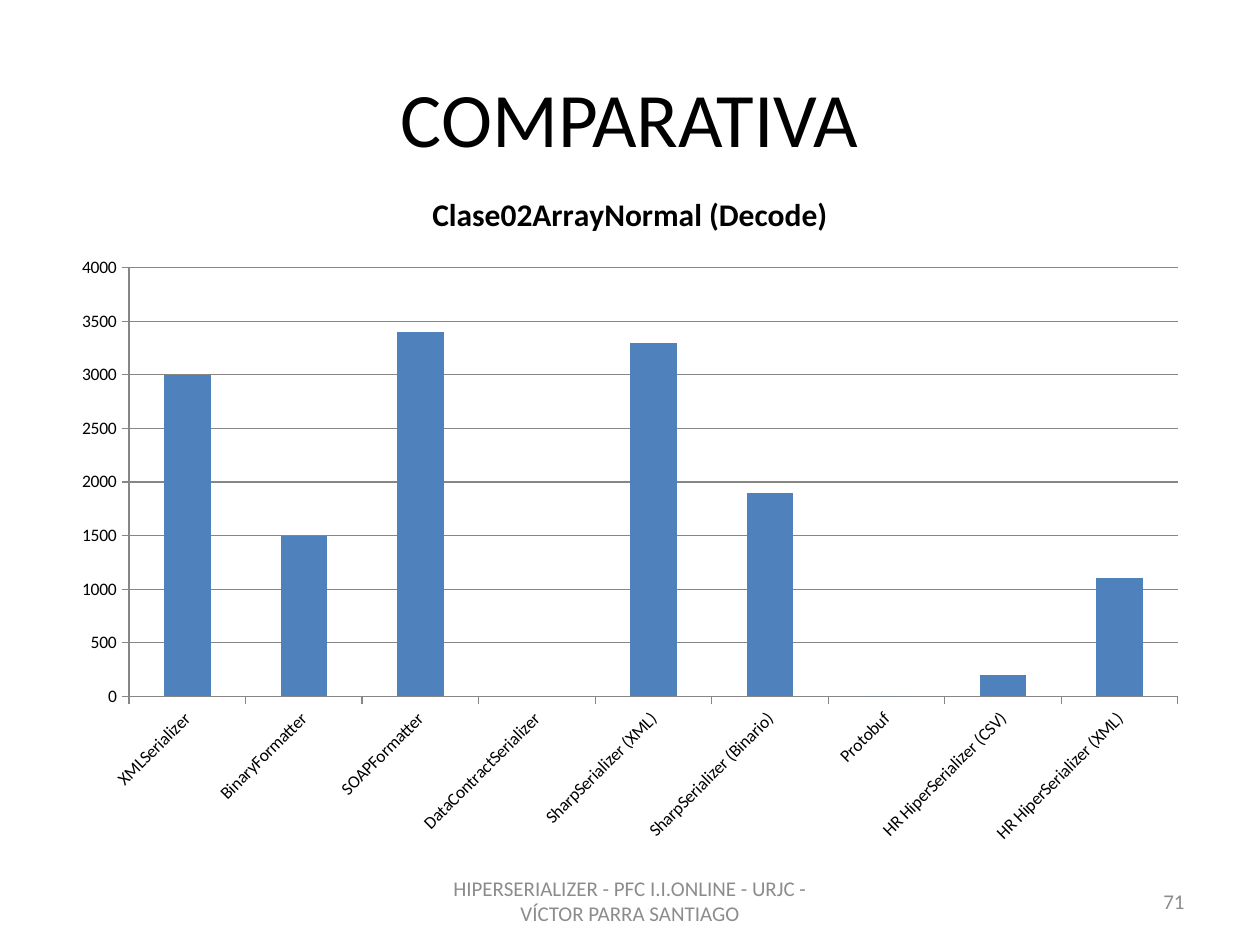
from pptx import Presentation
from pptx import util as u
from pptx.chart import data
from pptx.dml.color import RGBColor
from pptx.enum import chart as ch, text
from pptx.oxml import ns

BLACK = RGBColor(0x00, 0x00, 0x00)
GRAY = RGBColor(0x8C, 0x8C, 0x8C)
LINE = RGBColor(0x86, 0x86, 0x86)
BLUE = RGBColor(0x4F, 0x81, 0xBD)

HEAD = "Clase02ArrayNormal (Decode)"
BARS = {
    "XMLSerializer": 3000,
    "BinaryFormatter": 1500,
    "SOAPFormatter": 3400,
    "DataContractSerializer": None,
    "SharpSerializer (XML)": 3300,
    "SharpSerializer (Binario)": 1900,
    "Protobuf": 0,
    "HR HiperSerializer (CSV)": 200,
    "HR HiperSerializer (XML)": 1100,
}


class Deck:
    face = "Calibri"

    def __init__(self, slide):
        self.slide = slide

    def style(self, font, size, color, bold=False):
        font.name = self.face
        font.size = u.Pt(size)
        font.color.rgb = color
        font.bold = bold

    def label(self, words, box, size, color, align):
        frame = self.slide.shapes.add_textbox(*map(u.Pt, box)).text_frame
        frame.word_wrap = True
        frame.vertical_anchor = text.MSO_ANCHOR.MIDDLE
        para = frame.paragraphs[0]
        para.alignment = align
        run = para.add_run()
        run.text = words
        self.style(run.font, size, color)

    def axis(self, axis):
        axis.major_tick_mark = ch.XL_TICK_MARK.OUTSIDE
        axis.format.line.color.rgb = LINE
        self.style(axis.tick_labels.font, 10, BLACK)

    def chart(self, head, bars, box):
        info = data.CategoryChartData(number_format="General")
        info.categories = list(bars)
        info.add_series(head, list(bars.values()))
        chart = self.slide.shapes.add_chart(
            ch.XL_CHART_TYPE.COLUMN_CLUSTERED, *map(u.Pt, box), info
        ).chart
        self.style(chart.font, 10, BLACK)
        chart.has_legend = False
        chart.has_title = True
        run = chart.chart_title.text_frame.paragraphs[0].add_run()
        run.text = head
        self.style(run.font, 18, BLACK, True)

        cat, val = chart.category_axis, chart.value_axis
        self.axis(cat)
        self.axis(val)
        tags = ("c:catAx", "c:txPr", "a:bodyPr")
        turn = chart.element.find(".//" + "/".join(map(ns.qn, tags)))
        turn.set("rot", "-2700000")
        turn.set("vert", "horz")
        val.minimum_scale, val.maximum_scale, val.major_unit = 0, 4000, 500
        val.has_major_gridlines = True
        val.major_gridlines.format.line.color.rgb = LINE

        plot = chart.plots[0]
        plot.gap_width = 150
        plot.vary_by_categories = False
        fill = plot.series[0].format.fill
        fill.solid()
        fill.fore_color.rgb = BLUE


def main():
    prs = Presentation()
    prs.slide_width, prs.slide_height = u.Pt(720), u.Pt(540)
    deck = Deck(prs.slides.add_slide(prs.slide_layouts[6]))
    mid, right = text.PP_ALIGN.CENTER, text.PP_ALIGN.RIGHT
    deck.label("COMPARATIVA", (36, 21.6, 648, 90), 44, BLACK, mid)
    deck.label("HIPERSERIALIZER - PFC I.I.ONLINE - URJC - VÍCTOR PARRA SANTIAGO",
               (246, 500.5, 228, 28.75), 12, GRAY, mid)
    deck.label("71", (516, 500.5, 168, 28.75), 12, GRAY, right)
    deck.chart(HEAD, BARS, (33.84, 95.04, 652.32, 394.56))
    prs.save("out.pptx")


if __name__ == "__main__":
    main()
